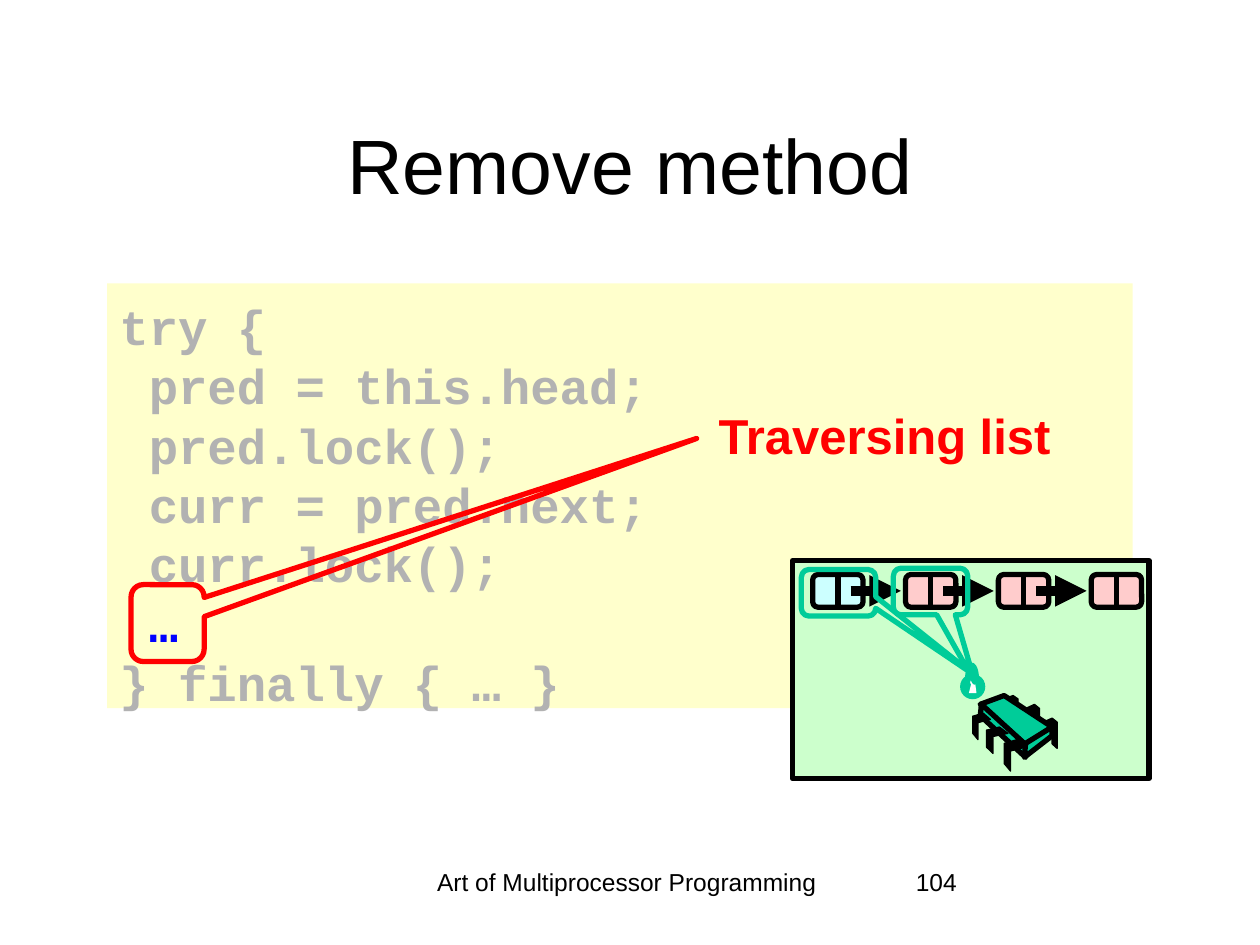
from dataclasses import dataclass
from math import cos, pi, sin
from typing import NamedTuple

from lxml.etree import SubElement
from pptx import Presentation
from pptx.dml.color import RGBColor
from pptx.enum.shapes import MSO_CONNECTOR as Connector, MSO_SHAPE as Preset
from pptx.enum.text import MSO_ANCHOR as Anchor, PP_ALIGN as Align
from pptx.oxml.ns import qn
from pptx.util import Cm, Pt


@dataclass(frozen=True)
class Theme:
    sans: str = "Arial"
    mono: str = "Courier New"
    black: str = "000000"
    white: str = "FFFFFF"
    red: str = "FF0000"
    blue: str = "0000FF"
    gray: str = "B2B2B2"
    cream: str = "FFFFCC"
    mint: str = "CCFFCC"
    teal: str = "00CC99"
    cyan: str = "CCFFFF"
    pink: str = "FFCCCC"
    title_size: int = 44
    body_size: int = 28
    footer_size: int = 14
    code_pitch: float = 33.9
    thin: float = 0.75
    stroke: float = 3
    thick: float = 6


THEME = Theme()


class Box(NamedTuple):
    """Left, top, width and height in inches."""
    left: float
    top: float
    width: float
    height: float


class Callout(NamedTuple):
    box: Box
    tip: tuple
    color: str


Points = list[tuple[float, float]]


def length(inches: float) -> Cm:
    return Cm(inches * 2.54)


def paint(shape, fill: str | None, line: str | None = None, width: float = THEME.stroke) -> None:
    shape.shadow.inherit = False
    if fill:
        shape.fill.solid()
        shape.fill.fore_color.rgb = RGBColor.from_string(fill)
    else:
        shape.fill.background()
    if line:
        shape.line.color.rgb = RGBColor.from_string(line)
        shape.line.width = Pt(width)
    else:
        shape.line.fill.background()


def add_preset(slide, preset: Preset, box: Box, fill: str | None, line: str | None = None):
    shape = slide.shapes.add_shape(preset, *map(length, box))
    paint(shape, fill, line)
    return shape


def write(shape, text: str, size: int, color: str = THEME.black, font: str = THEME.sans,
          bold: bool = False, align: Align = Align.CENTER, anchor: Anchor = Anchor.TOP):
    frame = shape.text_frame
    frame.text = text
    frame.word_wrap = True
    frame.vertical_anchor = anchor
    for paragraph in frame.paragraphs:
        paragraph.alignment = align
        for run in paragraph.runs:
            run.font.name, run.font.size, run.font.bold = font, Pt(size), bold
            run.font.color.rgb = RGBColor.from_string(color)
    return frame


def add_text(slide, box: Box, text: str, size: int, **style) -> None:
    write(slide.shapes.add_textbox(*map(length, box)), text, size, **style)


def add_line(slide, start: tuple, end: tuple, width: float, arrow: bool = False) -> None:
    line = slide.shapes.add_connector(Connector.STRAIGHT, *map(length, (*start, *end)))
    line.line.color.rgb = RGBColor.from_string(THEME.black)
    line.line.width = Pt(width)
    properties = line._element.spPr
    if arrow:
        SubElement(properties.find(qn("a:ln")), qn("a:tailEnd"), type="triangle")
    SubElement(properties, qn("a:effectLst"))


def add_polygon(slide, points: Points, fill: str, line: str | None = None,
                width: float = THEME.stroke) -> None:
    corners = [(length(x), length(y)) for x, y in points]
    builder = slide.shapes.build_freeform(*corners[0], scale=1.0)
    builder.add_line_segments(corners[1:], close=True)
    paint(builder.convert_to_shape(), fill, line, width)


def add_callout(slide, callout: Callout) -> None:
    shape = add_preset(slide, Preset.ROUNDED_RECTANGULAR_CALLOUT, callout.box, None, callout.color)
    for index, value in enumerate((*callout.tip, 0.167)):
        shape.adjustments[index] = value


def add_node(slide, left: float, fill: str) -> None:
    node = add_preset(slide, Preset.ROUNDED_RECTANGLE, Box(left, 4.56, 0.4, 0.26), fill, THEME.black)
    node.adjustments[0] = 0.167
    add_line(slide, (left + 0.2, 4.56), (left + 0.2, 4.82), THEME.stroke)


def arc(radius_x: float, radius_y: float) -> Points:
    """Upper half ellipse of the padlock shackle, left to right."""
    return [(7.715 - radius_x * cos(pi * step / 16), 5.38 - radius_y * sin(pi * step / 16))
            for step in range(17)]


def add_padlock(slide) -> None:
    add_preset(slide, Preset.OVAL, Box(7.62, 5.35, 0.2, 0.2), THEME.teal)
    add_preset(slide, Preset.OVAL, Box(7.7, 5.39, 0.05, 0.05), THEME.white)
    add_polygon(slide, [(7.69, 5.5), (7.71, 5.42), (7.74, 5.42), (7.75, 5.5)], THEME.white)
    add_polygon(slide, arc(0.025, 0.06) + arc(0.055, 0.12)[::-1], THEME.teal)


# Chip legs: outlines in fractions of each leg's box
REAR_LEG = [(0, 0.13), (0.64, 0), (1, 0.13), (1, 1), (0.64, 0.85), (0.64, 0.28), (0, 0.42)]
FRONT_LEG = [(0.6, 0), (1, 0.24), (0.3, 0.36), (0.3, 1), (0, 0.76), (0, 0.12)]
REAR_BOXES = [Box(8.28, 5.7, 0.11, 0.24), Box(8.14, 5.59, 0.11, 0.25), Box(7.97, 5.52, 0.11, 0.21)]
FRONT_BOXES = [Box(7.97, 5.87, 0.17, 0.25), Box(7.83, 5.77, 0.17, 0.21), Box(7.72, 5.66, 0.14, 0.21)]
CHIP_FACES = [
    [(7.97, 5.52), (8.35, 5.77), (8.14, 5.91), (7.78, 5.59)],
    [(7.79, 5.59), (8.14, 5.91), (8.14, 6.01), (7.78, 5.68)],
    [(8.35, 5.77), (8.35, 5.84), (8.13, 6.01), (8.14, 5.9)],
]


def add_legs(slide, outline: Points, boxes: list[Box]) -> None:
    for box in boxes:
        points = [(box.left + x * box.width, box.top + y * box.height) for x, y in outline]
        add_polygon(slide, points, THEME.black, THEME.black, THEME.thin)


def add_chip(slide) -> None:
    add_legs(slide, REAR_LEG, REAR_BOXES)
    for face in CHIP_FACES:
        add_polygon(slide, face, THEME.teal, THEME.black)
    add_legs(slide, FRONT_LEG, FRONT_BOXES)


CODE = """try {
 pred = this.head;
 pred.lock();
 curr = pred.next;
 curr.lock();
 …
} finally { … }"""


def add_code(slide) -> None:
    panel = add_preset(slide, Preset.RECTANGLE, Box(0.85, 2.25, 8.14, 3.37), THEME.cream)
    frame = write(panel, CODE, THEME.body_size, THEME.gray, THEME.mono, True, Align.LEFT)
    frame.margin_top = length(0.1)
    for paragraph in frame.paragraphs:
        paragraph.line_spacing = Pt(THEME.code_pitch)
    frame.paragraphs[5].runs[0].font.color.rgb = RGBColor.from_string(THEME.blue)


def add_list_diagram(slide) -> None:
    add_preset(slide, Preset.RECTANGLE, Box(6.29, 4.45, 2.83, 1.73), THEME.mint, THEME.black)
    lefts = [6.45 + 0.737 * index for index in range(4)]
    for index, left in enumerate(lefts):
        add_node(slide, left, THEME.pink if index else THEME.cyan)
    for left in lefts[:-1]:
        add_line(slide, (left + 0.3, 4.69), (left + 0.7, 4.69), THEME.thick, arrow=True)
    add_callout(slide, Callout(Box(6.36, 4.52, 0.59, 0.37), (1.813, 1.749), THEME.teal))
    add_padlock(slide)
    add_chip(slide)
    add_callout(slide, Callout(Box(7.09, 4.51, 0.59, 0.37), (0.596, 1.944), THEME.teal))


def main() -> None:
    presentation = Presentation()
    presentation.slide_width, presentation.slide_height = Cm(25.4), Cm(19.05)
    slide = presentation.slides.add_slide(presentation.slide_layouts[6])
    # Footer and title
    add_text(slide, Box(3.1, 6.83, 3.75, 0.5), "Art of Multiprocessor Programming", THEME.footer_size)
    add_text(slide, Box(7.17, 6.83, 2.08, 0.5), "104", THEME.footer_size, align=Align.LEFT)
    add_text(slide, Box(0.75, 0.67, 8.5, 1.25), "Remove method", THEME.title_size, anchor=Anchor.MIDDLE)
    # Code with its label
    add_code(slide)
    label = add_preset(slide, Preset.RECTANGLE, Box(5.22, 3.17, 3.6, 0.57), THEME.cream)
    color = label._element.spPr.find(qn("a:solidFill"))[0]
    SubElement(color, qn("a:alpha"), val="70000")
    write(label, "Traversing list", THEME.body_size, THEME.red, bold=True)
    # Linked list, then the callout on the omitted step
    add_list_diagram(slide)
    add_callout(slide, Callout(Box(1.04, 4.64, 0.58, 0.61), (7.24, -2.403), THEME.red))
    presentation.save("out.pptx")


if __name__ == "__main__":
    main()
